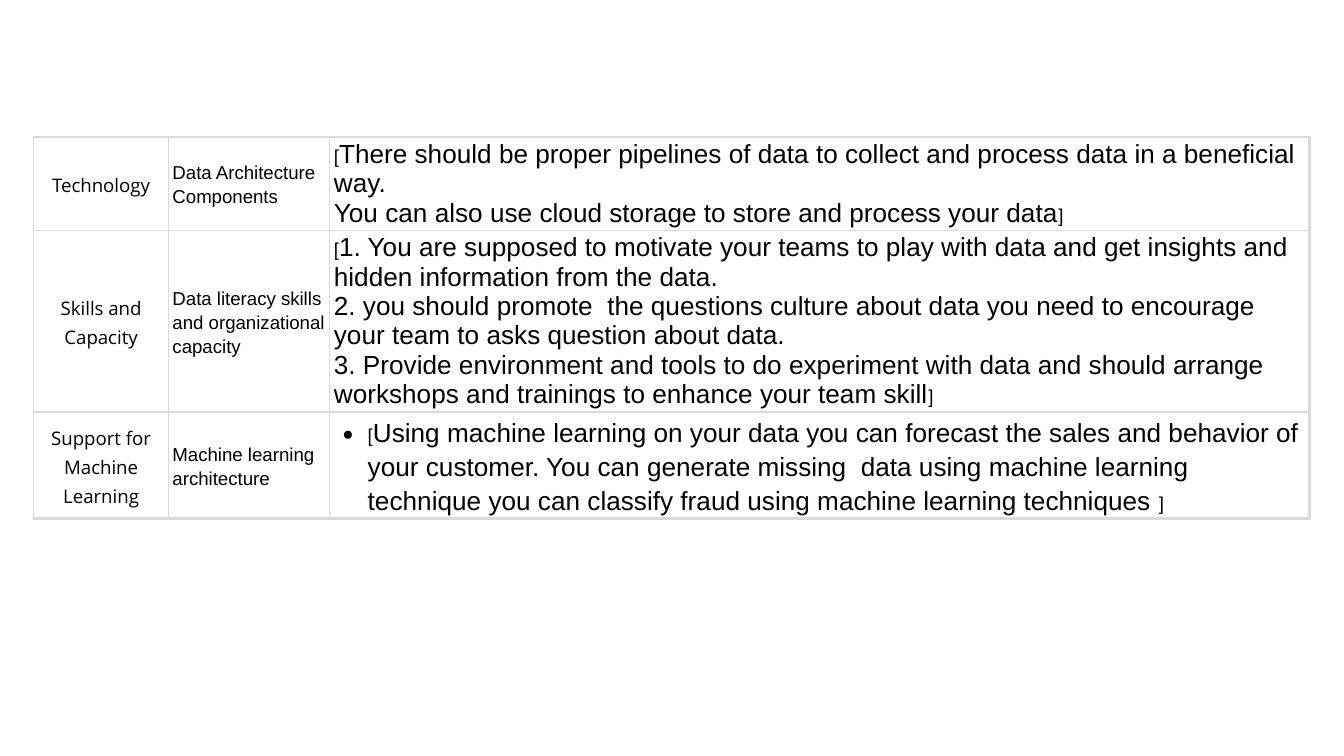
from lxml import etree
from pptx import Presentation
from pptx.dml.color import RGBColor
from pptx.enum.text import MSO_ANCHOR, PP_ALIGN
from pptx.oxml.ns import qn
from pptx.util import Cm, Pt

MIDDLE = MSO_ANCHOR.MIDDLE
LEFT, CENTER = PP_ALIGN.LEFT, PP_ALIGN.CENTER
BLACK, BORDER_GREY = "000000", "D9D9D9"
THIN, THICK = 0.75, 2.25
SMALL, LARGE = 10, 14

COLUMN_WIDTHS = [2.54, 3.05, 18.52]
ROW_HEIGHTS = [1.52, 1.88, 1.57]
CELL_FORMAT = {
    "vertical_anchor": MIDDLE,
    "margin_left": Cm(0.08),
    "margin_right": Cm(0.08),
    "margin_top": Cm(0.05),
    "margin_bottom": Cm(0.05),
}
COLUMN_FONTS = ["Open Sans", "Arial", "Arial"]
COLUMN_ALIGNMENTS = [CENTER, LEFT, LEFT]

ROWS = [
    ("Technology", "Data Architecture Components", [
        "There should be proper pipelines of data to collect and process data in a beneficial way.",
        "You can also use cloud storage to store and process your data",
    ]),
    ("Skills and Capacity", "Data literacy skills and organizational capacity", [
        "1. You are supposed to motivate your teams to play with data and get insights "
        "and hidden information from the data.",
        "2. you should promote  the questions culture about data you need to encourage "
        "your team to asks question about data.",
        "3. Provide environment and tools to do experiment with data and should arrange "
        "workshops and trainings to enhance your team skill",
    ]),
    ("Support for Machine Learning", "Machine learning architecture", [
        "Using machine learning on your data you can forecast the sales and behavior of "
        "your customer. You can generate missing  data using machine learning technique "
        "you can classify fraud using machine learning techniques ",
    ]),
]


def color(hex_string):
    return RGBColor.from_string(hex_string)


def add_colored_element(parent, tag, hex_string):
    """Append a DrawingML element that holds one RGB colour."""
    etree.SubElement(etree.SubElement(parent, qn(tag)), qn("a:srgbClr"), val=hex_string)


presentation = Presentation()
presentation.slide_width = Cm(25.4)
presentation.slide_height = Cm(14.29)
slide = presentation.slides.add_slide(presentation.slide_layouts[6])

table_shape = slide.shapes.add_table(
    len(ROWS), len(COLUMN_WIDTHS), Cm(0.64), Cm(2.59), Cm(24.1), Cm(7.7))
table = table_shape.table
table.first_row = False
table.horz_banding = False
for column, width in zip(table.columns, COLUMN_WIDTHS):
    column.width = Cm(width)
for row, height in zip(table.rows, ROW_HEIGHTS):
    row.height = Cm(height)
table_shape.height = Cm(7.7)

last_row, last_column = len(ROWS) - 1, len(COLUMN_WIDTHS) - 1
for row_index, (area, component, answers) in enumerate(ROWS):
    for column_index, texts in enumerate([[area], [component], answers]):
        cell = table.cell(row_index, column_index)
        for name, value in CELL_FORMAT.items():
            setattr(cell, name, value)

        # Outer right and bottom borders are heavier
        border_widths = {
            "a:lnL": THIN,
            "a:lnR": THICK if column_index == last_column else THIN,
            "a:lnT": THIN,
            "a:lnB": THICK if row_index == last_row else THIN,
        }
        cell_properties = cell._tc.get_or_add_tcPr()
        for tag, width in border_widths.items():
            line = etree.SubElement(cell_properties, qn(tag), w=str(Pt(width)))
            add_colored_element(line, "a:solidFill", BORDER_GREY)
        cell.fill.background()

        is_answer = column_index == last_column
        is_bulleted = is_answer and row_index == last_row
        for text_index, text in enumerate(texts):
            text_frame = cell.text_frame
            paragraph = text_frame.paragraphs[0] if text_index == 0 else text_frame.add_paragraph()
            paragraph.alignment = COLUMN_ALIGNMENTS[column_index]
            paragraph.line_spacing = 1.15 if is_bulleted or not is_answer else 1.0

            pieces = [(text, LARGE if is_answer else SMALL)]
            if is_answer and text_index == 0:
                pieces.insert(0, ("[", SMALL))
            if is_answer and text_index == len(texts) - 1:
                pieces.append(("]", SMALL))
            for piece, size in pieces:
                run = paragraph.add_run()
                run.text = piece
                run.font.size = Pt(size)
                run.font.name = COLUMN_FONTS[column_index]
                run.font.color.rgb = color(BLACK)

            if is_bulleted:
                properties = paragraph._p.get_or_add_pPr()
                properties.set("marL", str(Cm(0.64)))
                properties.set("indent", str(Cm(-0.48)))
                add_colored_element(properties, "a:buClr", BLACK)
                etree.SubElement(properties, qn("a:buSzPts"), val=str(LARGE * 100))
                etree.SubElement(properties, qn("a:buFont"), typeface="Arial")
                etree.SubElement(properties, qn("a:buChar"), char="●")

presentation.save("out.pptx")
